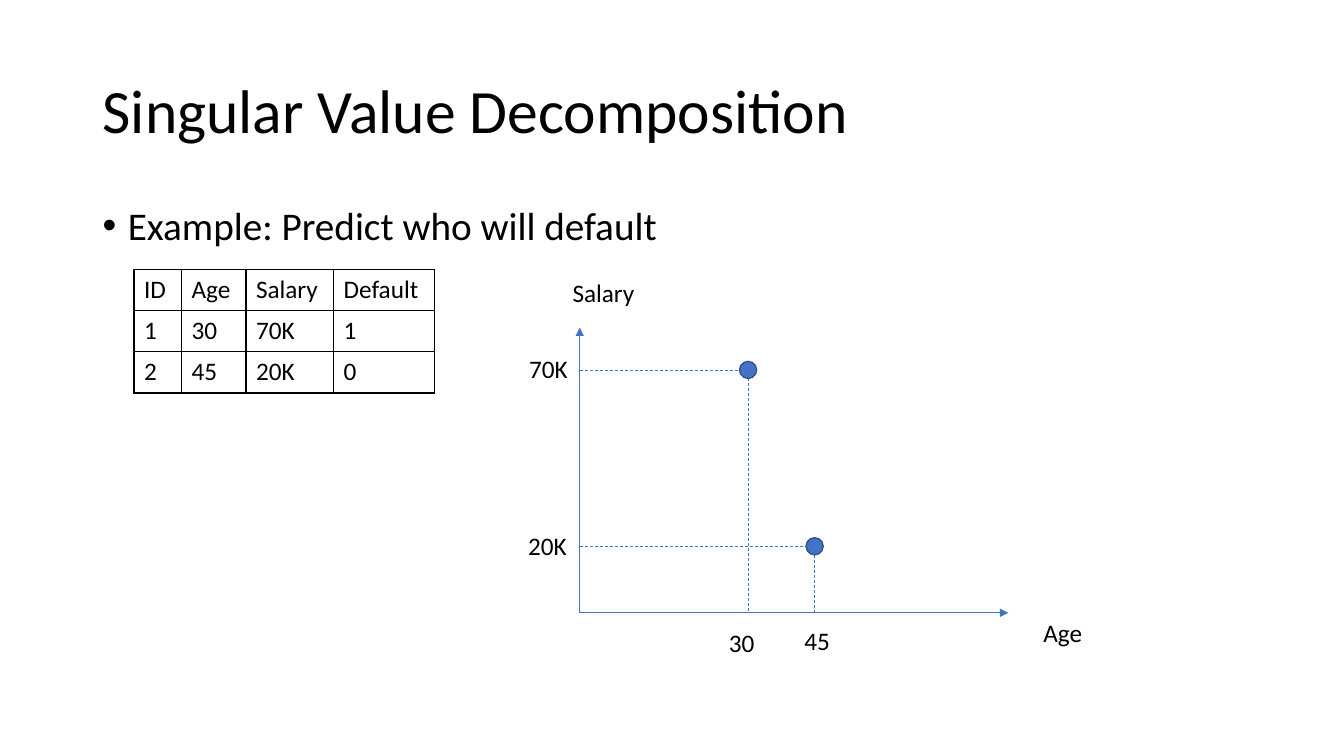
from pptx import Presentation
from pptx.dml.color import RGBColor
from pptx.enum.dml import MSO_LINE
from pptx.enum.shapes import MSO_CONNECTOR, MSO_SHAPE
from pptx.enum.text import MSO_ANCHOR
from pptx.oxml.ns import qn
from pptx.util import Inches, Pt
from lxml.etree import SubElement

TITLE = "Singular Value Decomposition"
BULLET = "Example: Predict who will default"
ROWS = [("ID", "Age", "Salary", "Default"),
        ("1", "30", "70K", "1"),
        ("2", "45", "20K", "0")]
COL_WIDTHS = (0.47, 0.64, 0.87, 1)
ROW_HEIGHT = 0.41
TABLE_LEFT, TABLE_TOP = 1.33, 2.67
ORIGIN_X, ORIGIN_Y = 5.75, 6.08
AXIS_TOP, AXIS_RIGHT = 3.25, 10
DOT = 0.17
POINTS = [
    {"center": (7.42, 3.67), "age": ("30", 7.13, 6.17), "salary": ("70K", 5.15, 3.46)},
    {"center": (8.08, 5.42), "age": ("45", 7.88, 6.15), "salary": ("20K", 5.14, 5.21)},
]
AXIS_LABELS = [("Age", 10.25, 6.08), ("Salary", 5.58, 2.7)]

BLACK = RGBColor(0, 0, 0)
BLUE = RGBColor(0x44, 0x72, 0xC4)
DARK_BLUE = RGBColor(0x32, 0x54, 0x91)

prs = Presentation()
prs.slide_width, prs.slide_height = Inches(13.33), Inches(7.5)
s = prs.slides.add_slide(prs.slide_layouts[6])


def write(tf, text, size=18, spacing=None):
    p = tf.paragraphs[0]
    if spacing:
        p.line_spacing = spacing
    r = p.add_run()
    r.text = text
    r.font.name, r.font.size, r.font.color.rgb = "Calibri", Pt(size), BLACK
    return p


def add_text(text, x, y, w=0.92, h=0.4, anchor=MSO_ANCHOR.TOP, **fmt):
    tf = s.shapes.add_textbox(Inches(x), Inches(y), Inches(w), Inches(h)).text_frame
    tf.word_wrap = True
    tf.vertical_anchor = anchor
    return write(tf, text, **fmt)


def add_line(x1, y1, x2, y2, arrow=False):
    c = s.shapes.add_connector(MSO_CONNECTOR.STRAIGHT, Inches(x1), Inches(y1), Inches(x2), Inches(y2))
    c.line.color.rgb, c.line.width = BLUE, Pt(0.5)
    if arrow:
        SubElement(c.line._get_or_add_ln(), qn("a:tailEnd"), type="triangle")
    else:
        c.line.dash_style = MSO_LINE.DASH
    SubElement(c._element.spPr, qn("a:effectLst"))


def add_borders(cell):
    tcPr = cell._tc.get_or_add_tcPr()
    for i, side in enumerate(("lnL", "lnR", "lnT", "lnB")):
        ln = SubElement(tcPr, qn(f"a:{side}"), w=str(Pt(1)))
        fill = SubElement(ln, qn("a:solidFill"))
        SubElement(fill, qn("a:srgbClr"), val=str(BLACK))
        tcPr.insert(i, ln)


add_text(TITLE, 0.92, 0.4, 11.5, 1.45, anchor=MSO_ANCHOR.MIDDLE, size=44, spacing=0.9)

p = add_text(BULLET, 0.92, 2, 11.5, 4.76, size=28, spacing=0.9)
p.space_before = Pt(10)
pPr = p._p.get_or_add_pPr()
pPr.set("marL", str(Inches(0.25)))
pPr.set("indent", str(Inches(-0.25)))
SubElement(pPr, qn("a:buFont"), typeface="Arial")
SubElement(pPr, qn("a:buChar"), char="•")

table = s.shapes.add_table(len(ROWS), len(COL_WIDTHS), Inches(TABLE_LEFT), Inches(TABLE_TOP),
                           Inches(sum(COL_WIDTHS)), Inches(ROW_HEIGHT * len(ROWS))).table
table.first_row = table.horz_banding = False
for col, width in zip(table.columns, COL_WIDTHS):
    col.width = Inches(width)
for i, row in enumerate(ROWS):
    table.rows[i].height = Inches(ROW_HEIGHT)
    for j, text in enumerate(row):
        cell = table.cell(i, j)
        cell.fill.background()
        add_borders(cell)
        write(cell.text_frame, text)

add_line(ORIGIN_X, ORIGIN_Y, ORIGIN_X, AXIS_TOP, arrow=True)
add_line(ORIGIN_X, ORIGIN_Y, AXIS_RIGHT, ORIGIN_Y, arrow=True)
for label in AXIS_LABELS:
    add_text(*label)

for point in POINTS:
    x, y = point["center"]
    add_line(ORIGIN_X, y, x - DOT / 2, y)
    add_line(x, y + DOT / 2, x, ORIGIN_Y)
    sp = s.shapes.add_shape(MSO_SHAPE.OVAL, Inches(x - DOT / 2), Inches(y - DOT / 2), Inches(DOT), Inches(DOT))
    sp.shadow.inherit = False
    sp.fill.solid()
    sp.fill.fore_color.rgb = BLUE
    sp.line.color.rgb, sp.line.width = DARK_BLUE, Pt(1)
    add_text(*point["age"], w=0.75)
    add_text(*point["salary"], w=0.75)

prs.save("out.pptx")
